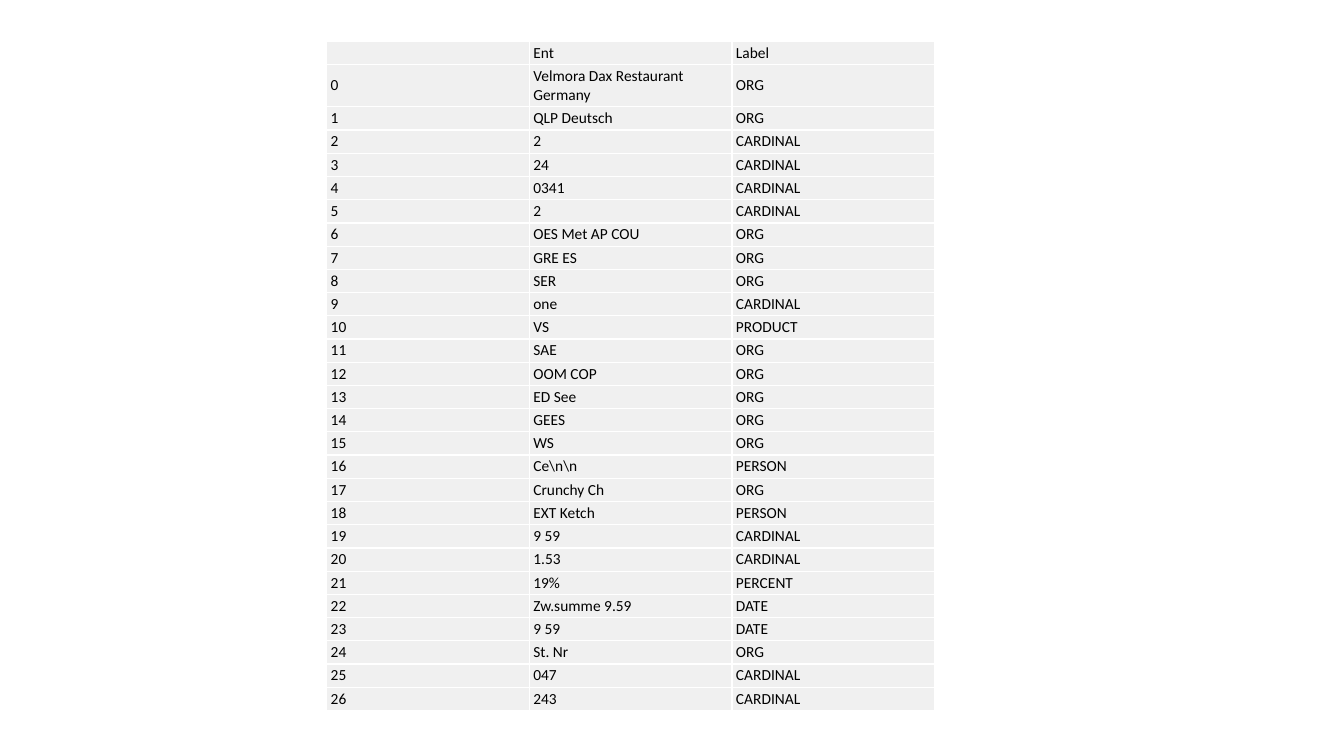
from lxml import etree
from pptx import Presentation
from pptx.dml.color import RGBColor
from pptx.enum.text import MSO_ANCHOR
from pptx.oxml.ns import qn
from pptx.util import Inches, Pt

MIDDLE = MSO_ANCHOR.MIDDLE
COLORS = {"cell": "F0F0F0", "border": "FFFFFF", "text": "000000"}
FONT, SIZE = "Calibri", 11

HEADER = ("", "Ent", "Label")
ENTITIES = [
    ("Velmora Dax Restaurant Germany", "ORG"),
    ("QLP Deutsch", "ORG"),
    ("2", "CARDINAL"),
    ("24", "CARDINAL"),
    ("0341", "CARDINAL"),
    ("2", "CARDINAL"),
    ("OES Met AP COU", "ORG"),
    ("GRE ES", "ORG"),
    ("SER", "ORG"),
    ("one", "CARDINAL"),
    ("VS", "PRODUCT"),
    ("SAE", "ORG"),
    ("OOM COP", "ORG"),
    ("ED See", "ORG"),
    ("GEES", "ORG"),
    ("WS", "ORG"),
    (r"Ce\n\n", "PERSON"),
    ("Crunchy Ch", "ORG"),
    ("EXT Ketch", "PERSON"),
    ("9 59", "CARDINAL"),
    ("1.53", "CARDINAL"),
    ("19%", "PERCENT"),
    ("Zw.summe 9.59", "DATE"),
    ("9 59", "DATE"),
    ("St. Nr", "ORG"),
    ("047", "CARDINAL"),
    ("243", "CARDINAL"),
]
ROWS = [HEADER] + [(str(i), *entity) for i, entity in enumerate(ENTITIES)]

LEFT, TOP, COL_W = 3.24, 0.41, 2.01
TABLE_H, TALL_ROW_H = 6.64, 0.42
ROW_H = (TABLE_H - TALL_ROW_H) / (len(ROWS) - 1)
TALL_ROW = 1  # the entity that wraps to two lines


def add_borders(cell):
    """Draw a thin line on all four sides of a cell."""
    tcPr = cell._tc.get_or_add_tcPr()
    for side in ("lnL", "lnR", "lnT", "lnB"):
        ln = etree.SubElement(tcPr, qn(f"a:{side}"), w=str(Pt(1)))
        fill = etree.SubElement(ln, qn("a:solidFill"))
        etree.SubElement(fill, qn("a:srgbClr"), val=COLORS["border"])


def fill_cell(cell, text):
    """Write and style one table cell."""
    add_borders(cell)
    cell.fill.solid()
    cell.fill.fore_color.rgb = RGBColor.from_string(COLORS["cell"])
    cell.vertical_anchor = MIDDLE
    cell.margin_left = cell.margin_right = Inches(0.04)
    cell.margin_top = cell.margin_bottom = Inches(0.02)
    cell.text = text
    p = cell.text_frame.paragraphs[0]
    p.font.name, p.font.size = FONT, Pt(SIZE)
    p.font.color.rgb = RGBColor.from_string(COLORS["text"])
    if not text:  # keeps the empty cell from stretching its row
        p._p.get_or_add_endParaRPr().set("sz", str(SIZE * 100))


def add_entity_table(s):
    """Add the table of recognised entities."""
    table = s.shapes.add_table(
        len(ROWS), len(HEADER), Inches(LEFT), Inches(TOP),
        Inches(COL_W * len(HEADER)), Inches(TABLE_H)).table
    table.first_row = table.horz_banding = False
    for column in table.columns:
        column.width = Inches(COL_W)
    for i, texts in enumerate(ROWS):
        table.rows[i].height = Inches(TALL_ROW_H if i == TALL_ROW else ROW_H)
        for j, text in enumerate(texts):
            fill_cell(table.cell(i, j), text)


prs = Presentation()
prs.slide_width, prs.slide_height = Inches(13.33), Inches(7.5)
s = prs.slides.add_slide(prs.slide_layouts[6])
add_entity_table(s)
prs.save("out.pptx")
